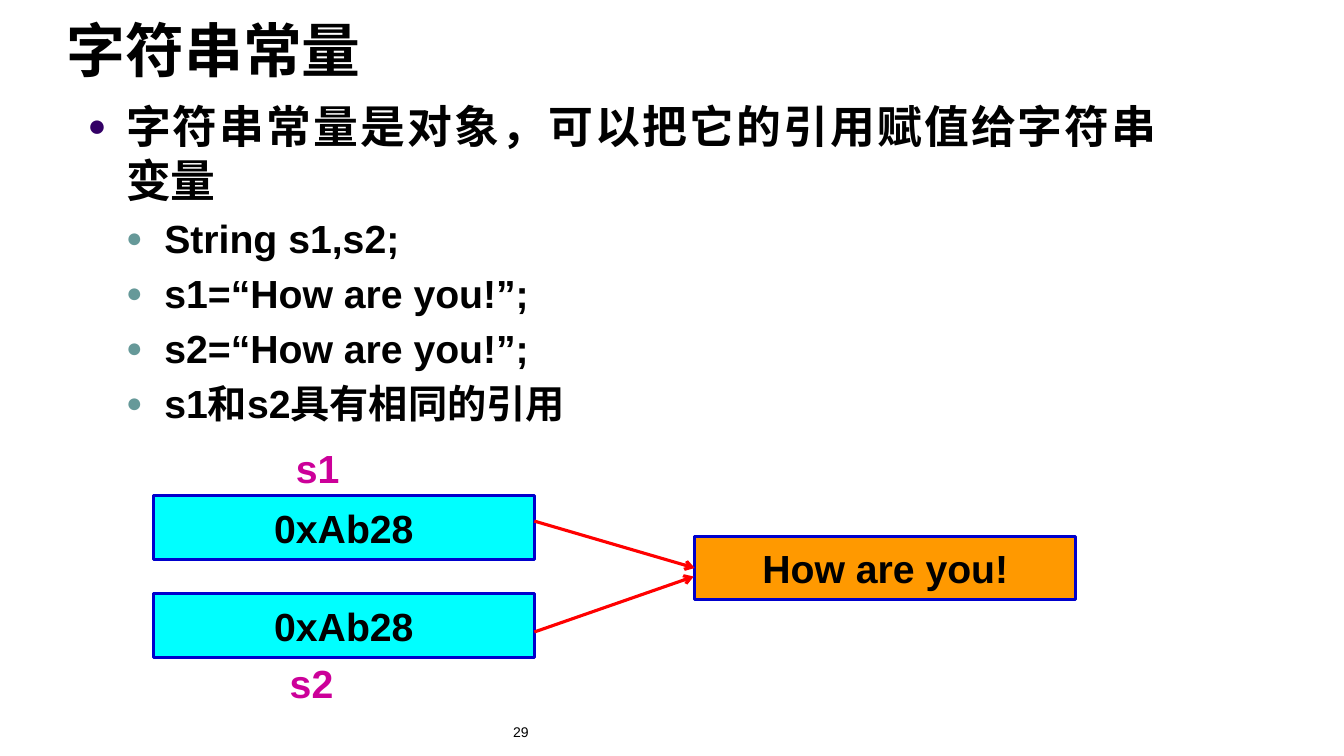
from lxml.etree import SubElement
from pptx import Presentation
from pptx.dml.color import RGBColor
from pptx.enum.shapes import MSO_CONNECTOR, MSO_SHAPE
from pptx.enum.text import MSO_ANCHOR, MSO_AUTO_SIZE, PP_ALIGN
from pptx.oxml.ns import qn
from pptx.util import Inches, Pt


def rgb(value):
    return RGBColor.from_string(value)


def style(p, size, color="000000", bold=True, align=PP_ALIGN.LEFT):
    p.alignment = align
    for r in p.runs:
        r.font.name = "Arial"
        r.font.size = Pt(size)
        r.font.bold = bold
        r.font.color.rgb = rgb(color)


prs = Presentation()
prs.slide_width, prs.slide_height = Inches(13.33), Inches(7.5)
s = prs.slides.add_slide(prs.slide_layouts[1])

title, body = s.placeholders
title.left, title.top = Inches(0.56), Inches(-0.05)
title.width, title.height = Inches(11), Inches(0.94)
tf = title.text_frame
tf.text = "字符串常量"
tf.vertical_anchor = MSO_ANCHOR.BOTTOM
tf.auto_size = MSO_AUTO_SIZE.NONE
style(tf.paragraphs[0], 42)

body.left, body.top = Inches(0.77), Inches(0.93)
body.width, body.height = Inches(10.81), Inches(5.53)
tf = body.text_frame
tf.auto_size = MSO_AUTO_SIZE.NONE
lines = [
    "字符串常量是对象，可以把它的引用赋值给字符串变量",
    "String s1,s2;",
    "s1=“How are you!”;",
    "s2=“How are you!”;",
    "s1和s2具有相同的引用",
]
for i, line in enumerate(lines):
    p = tf.paragraphs[0] if i == 0 else tf.add_paragraph()
    p.text = line
    p.level = min(i, 1)
    style(p, 28 if p.level else 32, align=PP_ALIGN.JUSTIFY)
    pPr = p._p.get_or_add_pPr()
    pPr.set("marL", str(Inches(0.38 * (p.level + 1))))
    pPr.set("indent", str(Inches(-0.38)))
    bullet_color = SubElement(pPr, qn("a:buClr"))
    SubElement(bullet_color, qn("a:srgbClr"), val="669999" if p.level else "330066")
    SubElement(pPr, qn("a:buSzPct"), val="70000")
    SubElement(pPr, qn("a:buFont"), typeface="Arial")
    SubElement(pPr, qn("a:buChar"), char="●")

boxes = []
for text, x, y, fill in [
    ("0xAb28", 1.52, 4.92, "00FFFF"),
    ("0xAb28", 1.52, 5.89, "00FFFF"),
    ("How are you!", 6.89, 5.32, "FF9900"),
]:
    box = s.shapes.add_shape(
        MSO_SHAPE.RECTANGLE, Inches(x), Inches(y), Inches(3.78), Inches(0.63))
    box.shadow.inherit = False
    box.fill.solid()
    box.fill.fore_color.rgb = rgb(fill)
    box.line.color.rgb = rgb("0000CC")
    box.line.width = Pt(2.25)
    tf = box.text_frame
    tf.text = text
    tf.word_wrap = False
    tf.vertical_anchor = MSO_ANCHOR.MIDDLE
    style(tf.paragraphs[0], 28, align=PP_ALIGN.CENTER)
    boxes.append(box)

for text, x, y, w, h, size, color, bold, align in [
    ("s1", 2.57, 4.36, 1.16, 0.57, 28, "CC0099", True, PP_ALIGN.CENTER),
    ("s2", 2.51, 6.49, 1.16, 0.57, 28, "CC0099", True, PP_ALIGN.CENTER),
    ("29", 4.99, 7.13, 3.11, 0.5, 10, "000000", False, PP_ALIGN.LEFT),
]:
    tf = s.shapes.add_textbox(Inches(x), Inches(y), Inches(w), Inches(h)).text_frame
    tf.text = text
    tf.word_wrap = True
    style(tf.paragraphs[0], size, color, bold, align)

arrows = []
for y1, y2 in [(5.17, 5.64), (6.27, 5.72)]:
    arrow = s.shapes.add_connector(
        MSO_CONNECTOR.STRAIGHT, Inches(5.3), Inches(y1), Inches(6.88), Inches(y2))
    arrow.line.color.rgb = rgb("FF0000")
    arrow.line.width = Pt(2.25)
    SubElement(arrow.line._get_or_add_ln(), qn("a:tailEnd"), type="arrow")
    SubElement(arrow._element.spPr, qn("a:effectLst"))
    arrows.append(arrow)
arrows[0].end_connect(boxes[2], 1)

prs.save("out.pptx")
